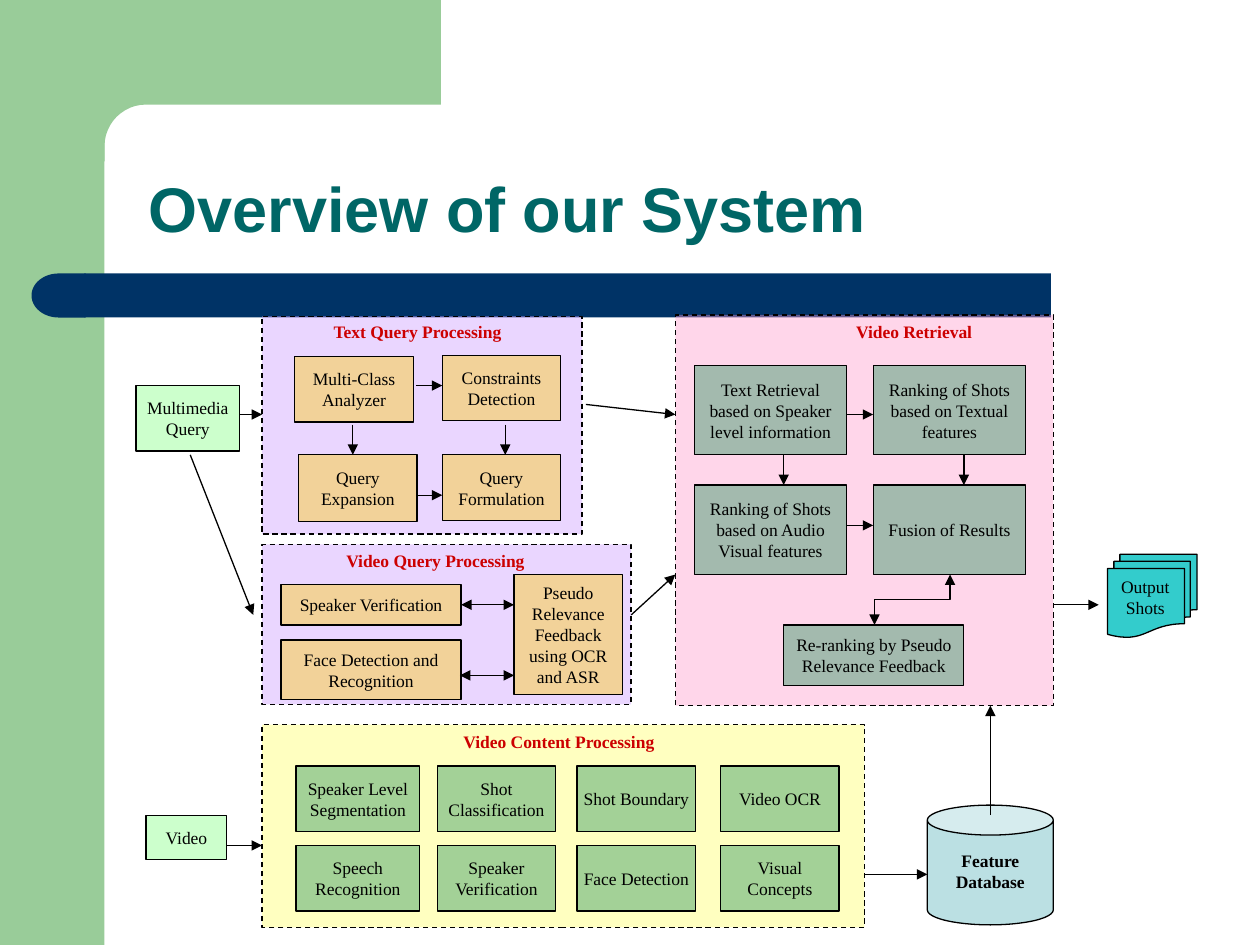
import math

import lxml.etree
import pptx
import pptx.dml.color
import pptx.enum.dml
import pptx.enum.shapes
import pptx.enum.text
import pptx.oxml.ns
import pptx.util

Inches = pptx.util.Inches
Pt = pptx.util.Pt
MSO_SHAPE = pptx.enum.shapes.MSO_SHAPE
MSO_CONNECTOR = pptx.enum.shapes.MSO_CONNECTOR
ANCHOR = pptx.enum.text.MSO_ANCHOR
ALIGN = pptx.enum.text.PP_ALIGN

GREEN, NAVY, TEAL = "99CC99", "003366", "006666"
BLACK, RED, MINT = "000000", "CC0000", "CCFFCC"
LILAC, PINK, YELLOW = ("CC99FF", 40), ("FF99CC", 40), ("FFFF99", 61)
ORANGE, SAGE = ("FFCC00", 40), ("339966", 45)
CYAN, PALE_BLUE = "33CCCC", "BBE0E3"


def rgb(color):
    return pptx.dml.color.RGBColor.from_string(color)


def add_element(parent, tag, **attributes):
    element = lxml.etree.SubElement(parent, pptx.oxml.ns.qn(tag))
    for name, value in attributes.items():
        element.set(name, value)
    return element


def write_text(shape, text, font="Times New Roman", size=10, color=BLACK, bold=False,
               align=ALIGN.CENTER, anchor=ANCHOR.MIDDLE, margins=(0.05, 0.05), spacing=None):
    """Fill a shape with text; margins are horizontal and vertical, in inches."""
    frame = shape.text_frame
    frame.word_wrap = True
    frame.auto_size = pptx.enum.text.MSO_AUTO_SIZE.NONE
    frame.vertical_anchor = anchor
    frame.margin_left = frame.margin_right = Inches(margins[0])
    frame.margin_top = frame.margin_bottom = Inches(margins[1])
    frame.text = text
    for paragraph in frame.paragraphs:
        paragraph.alignment = align
        if spacing:
            paragraph.line_spacing = spacing
        paragraph.font.name = font
        paragraph.font.size = Pt(size)
        paragraph.font.bold = bold
        paragraph.font.color.rgb = rgb(color)


class Diagram:
    """Holds the line style and the slide being drawn."""

    line_width = Pt(0.75)

    def __init__(self, slide):
        self.slide = slide
        self.shapes = slide.shapes

    def paint(self, shape, fill, outlined=True, dashed=False):
        """Fill is a hex colour, or a pair of hex colour and opacity in percent."""
        color, opacity = fill if isinstance(fill, tuple) else (fill, 100)
        shape.shadow.inherit = False
        shape.fill.solid()
        shape.fill.fore_color.rgb = rgb(color)
        if opacity < 100:
            color_element = shape.element.spPr.find(".//" + pptx.oxml.ns.qn("a:srgbClr"))
            add_element(color_element, "a:alpha", val=str(opacity * 1000))
        if not outlined:
            shape.line.fill.background()
            return
        shape.line.color.rgb = rgb(BLACK)
        shape.line.width = self.line_width
        if dashed:
            shape.line.dash_style = pptx.enum.dml.MSO_LINE.DASH

    def title(self, text, left, top, width, height):
        title = self.shapes.title
        title.left, title.top = Inches(left), Inches(top)
        title.width, title.height = Inches(width), Inches(height)
        write_text(title, text, font="Arial", size=36, color=TEAL, bold=True,
                   align=ALIGN.LEFT, anchor=ANCHOR.BOTTOM, margins=(0.1, 0.05), spacing=0.9)

    def box(self, left, top, width, height, fill, text="", kind=MSO_SHAPE.RECTANGLE,
            outlined=True, dashed=False, **text_format):
        shape = self.shapes.add_shape(kind, Inches(left), Inches(top),
                                      Inches(width), Inches(height))
        self.paint(shape, fill, outlined, dashed)
        if text:
            write_text(shape, text, **text_format)
        return shape

    def label(self, text, left, top, width, height, **text_format):
        label = self.shapes.add_textbox(Inches(left), Inches(top), Inches(width), Inches(height))
        write_text(label, text, bold=True, anchor=ANCHOR.TOP, margins=(0.1, 0.05), **text_format)

    def arrow(self, start, end, kind=MSO_CONNECTOR.STRAIGHT, both=False, rotation=0):
        connector = self.shapes.add_connector(kind, *map(Inches, start + end))
        connector.line.color.rgb = rgb(BLACK)
        connector.line.width = self.line_width
        properties = connector.element.spPr
        line = properties.find(pptx.oxml.ns.qn("a:ln"))
        if both:
            add_element(line, "a:headEnd", type="triangle")
        add_element(line, "a:tailEnd", type="triangle")
        add_element(properties, "a:effectLst")
        if rotation:
            properties.find(pptx.oxml.ns.qn("a:xfrm")).set("rot", str(rotation * 60000))
        return connector

    def corner(self, right, left, inner_left, inner_top, bottom, radius):
        """Top band whose inner corner is rounded."""
        center_x, center_y = inner_left + radius, inner_top + radius
        angles = [math.radians(step * 7.5) for step in range(13)]
        arc = [(center_x - radius * math.sin(angle), center_y - radius * math.cos(angle))
               for angle in angles]
        points = [(right, inner_top), *arc, (inner_left, bottom), (left, bottom), (left, 0)]
        builder = self.shapes.build_freeform(Inches(right), 0, scale=1.0)
        builder.add_line_segments([(Inches(x), Inches(y)) for x, y in points], close=True)
        self.paint(builder.convert_to_shape(), GREEN, outlined=False)


def draw_background(diagram):
    diagram.box(0, 0, 0.83, 7.5, GREEN, outlined=False)
    diagram.corner(right=3.5, left=0.5, inner_left=0.83, inner_top=0.83, bottom=1.28, radius=0.33)
    diagram.box(0.67, 2.17, 7.67, 0.35, NAVY, outlined=False)
    bar_end = diagram.box(0.25, 2.17, 0.43, 0.35, NAVY, kind=MSO_SHAPE.FLOWCHART_DELAY,
                          outlined=False)
    bar_end.rotation = 180


def draw_inputs_and_outputs(diagram):
    diagram.box(1.08, 3.06, 0.82, 0.52, MINT, "Multimedia\nQuery", margins=(0, 0.05))
    diagram.box(1.16, 6.47, 0.64, 0.35, MINT, "Video")
    diagram.box(8.79, 4.4, 0.71, 0.66, CYAN, kind=MSO_SHAPE.FLOWCHART_MULTIDOCUMENT)
    diagram.box(8.84, 4.54, 0.5, 0.4, CYAN, "Output\nShots", outlined=False, margins=(0, 0))
    diagram.box(7.36, 6.39, 1, 0.95, PALE_BLUE, kind=MSO_SHAPE.CAN)
    diagram.label("Feature Database", 7.43, 6.7, 0.86, 0.47)


def draw_panels(diagram):
    panels = [
        ((2.08, 2.51, 2.54, 1.73), LILAC, "Text Query Processing", (2.55, 2.5, 1.76, 0.33), ALIGN.LEFT),
        ((2.08, 4.32, 2.93, 1.27), LILAC, "Video Query Processing", (2.65, 4.32, 1.76, 0.33), ALIGN.LEFT),
        ((2.08, 5.75, 4.78, 1.61), YELLOW, "Video Content Processing", (3.51, 5.75, 1.85, 0.33), ALIGN.CENTER),
        ((5.36, 2.5, 3, 3.1), PINK, "Video Retrieval", (5.79, 2.5, 2.93, 0.4), ALIGN.CENTER),
    ]
    for area, fill, heading, heading_area, align in panels:
        diagram.box(*area, fill, dashed=True)
        diagram.label(heading, *heading_area, color=RED, align=align)


def draw_steps(diagram):
    diagram.box(2.34, 2.83, 0.94, 0.52, ORANGE, "Multi-Class Analyzer")
    diagram.box(3.51, 2.82, 0.94, 0.52, ORANGE, "Constraints Detection")
    diagram.box(2.37, 3.61, 0.94, 0.53, ORANGE, "Query\nExpansion")
    diagram.box(3.51, 3.61, 0.94, 0.52, ORANGE, "Query Formulation")

    verification = diagram.box(2.23, 4.64, 1.43, 0.32, ORANGE, "Speaker Verification")
    diagram.box(2.23, 5.08, 1.43, 0.47, ORANGE, "Face Detection and Recognition")
    diagram.box(4.08, 4.56, 0.86, 0.95, ORANGE, "Pseudo Relevance Feedback using OCR and ASR")
    diagram.arrow((3.66, 4.8), (4.08, 4.8), both=True).begin_connect(verification, 3)

    content_columns = [
        (2.35, 0.98, "Speaker Level\nSegmentation", "Speech\nRecognition"),
        (3.47, 0.94, "Shot\nClassification", "Speaker Verification"),
        (4.58, 0.94, "Shot Boundary", "Face Detection"),
        (5.72, 0.94, "Video OCR", "Visual Concepts"),
    ]
    for left, width, *steps in content_columns:
        for top, step in zip((6.08, 6.71), steps):
            diagram.box(left, top, width, 0.52, SAGE, step)

    retrieval_rows = [
        (2.9, "Text Retrieval based on Speaker level information",
         "Ranking of Shots based on Textual features"),
        (3.85, "Ranking of Shots based on Audio Visual features", "Fusion of Results"),
    ]
    for top, *steps in retrieval_rows:
        for left, step in zip((5.51, 6.93), steps):
            diagram.box(left, top, 1.21, 0.71, SAGE, step)
    diagram.box(6.22, 4.96, 1.43, 0.48, SAGE, "Re-ranking by Pseudo Relevance Feedback")


def draw_arrows(diagram):
    for start, end in [
        ((1.9, 3.29), (2.08, 3.29)), ((1.51, 3.61), (2.01, 4.88)), ((1.8, 6.71), (2.08, 6.71)),
        ((3.3, 3.06), (3.51, 3.06)), ((3.3, 3.93), (3.51, 3.93)),
        ((2.8, 3.37), (2.8, 3.61)), ((4.01, 3.37), (4.01, 3.61)),
        ((4.65, 3.21), (5.36, 3.29)), ((5.01, 4.88), (5.36, 4.56)),
        ((6.72, 3.29), (6.93, 3.29)), ((6.72, 4.17), (6.93, 4.17)),
        ((6.22, 3.61), (6.22, 3.85)), ((7.65, 3.61), (7.65, 3.85)),
        ((6.86, 6.94), (7.36, 6.94)), ((7.86, 6.47), (7.86, 5.6)), ((8.36, 4.8), (8.72, 4.8)),
    ]:
        diagram.arrow(start, end)
    diagram.arrow((3.65, 5.36), (4.08, 5.36), both=True)
    diagram.arrow((7.04, 4.46), (7.44, 5.06), MSO_CONNECTOR.ELBOW, both=True, rotation=90)


def main():
    presentation = pptx.Presentation()
    presentation.slide_width, presentation.slide_height = Inches(10), Inches(7.5)
    diagram = Diagram(presentation.slides.add_slide(presentation.slide_layouts[5]))
    draw_background(diagram)
    diagram.title("Overview of our System", 1.08, 0.91, 8.34, 1.09)
    draw_panels(diagram)
    draw_inputs_and_outputs(diagram)
    draw_steps(diagram)
    draw_arrows(diagram)
    presentation.save("out.pptx")


if __name__ == "__main__":
    main()
